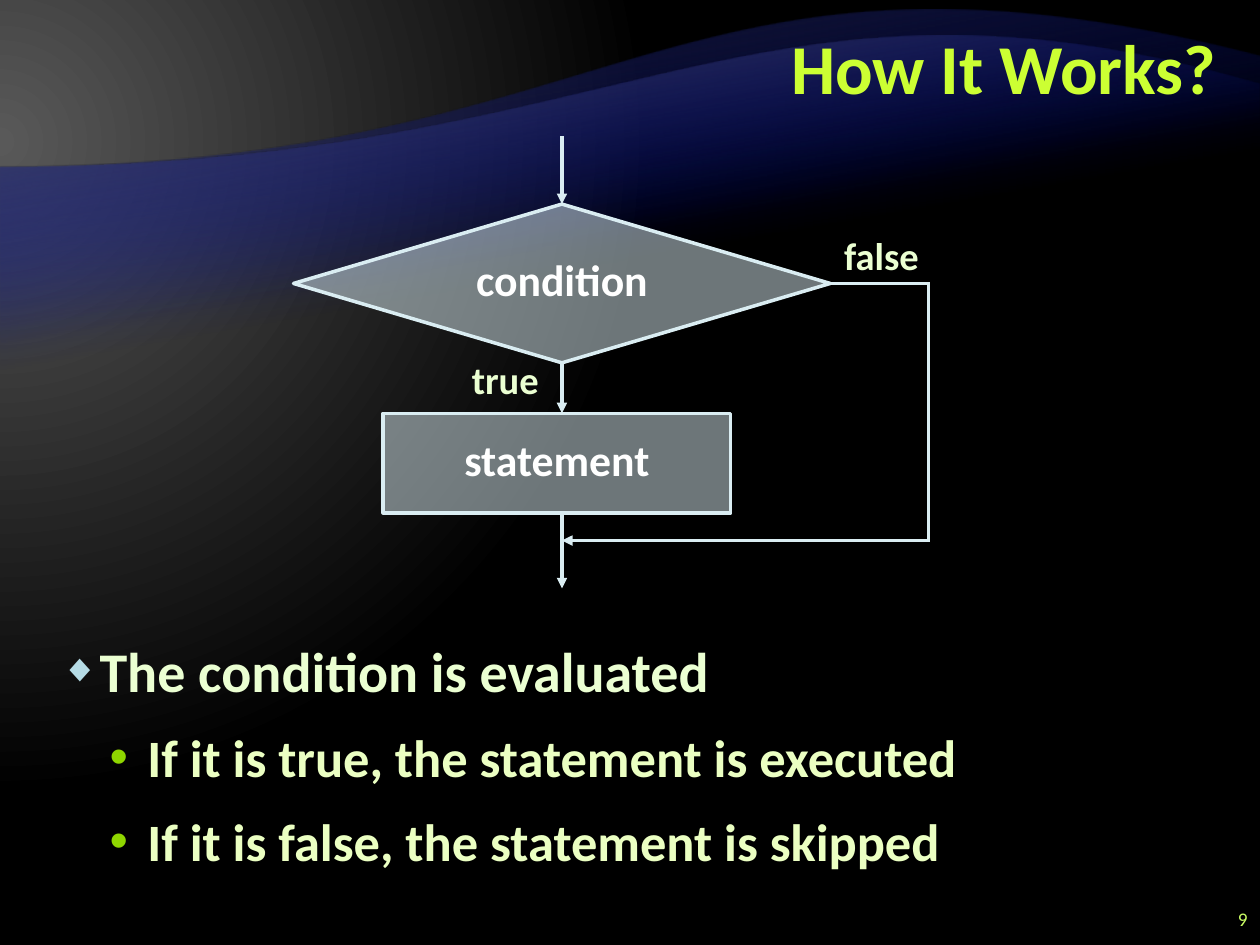
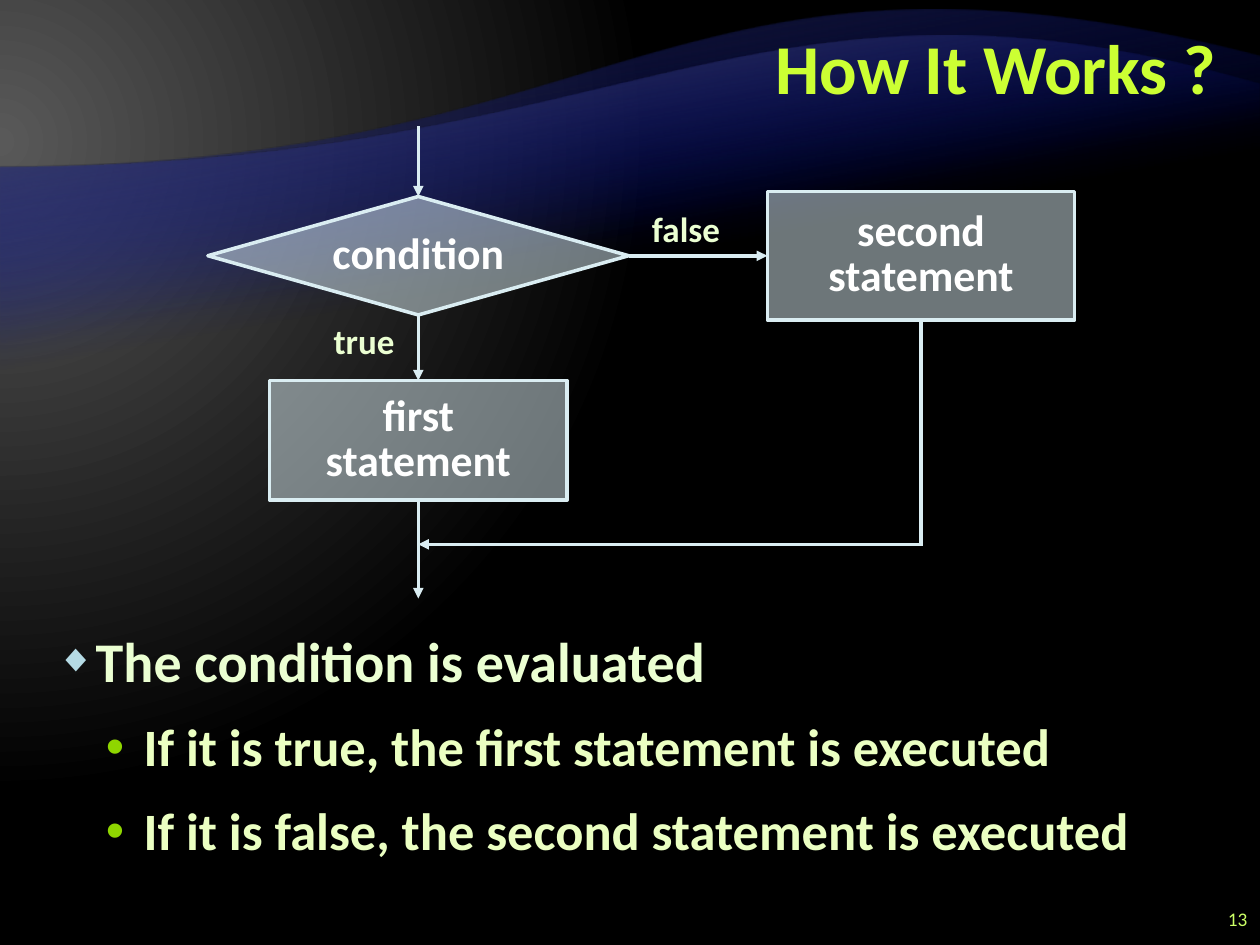
from dataclasses import dataclass

from pptx import Presentation
from pptx.dml.color import RGBColor
from pptx.enum.shapes import MSO_CONNECTOR, MSO_SHAPE
from pptx.enum.text import MSO_ANCHOR, MSO_AUTO_SIZE, PP_ALIGN
from pptx.oxml import parse_xml
from pptx.oxml.ns import nsdecls, qn
from pptx.oxml.xmlchemy import OxmlElement
from pptx.util import Pt

PX = 9144  # 100 px to the inch
WIDTH, HEIGHT = 1000, 750
TOP, LEFT, BOTTOM, RIGHT = range(4)
DIAMOND, BOX = MSO_SHAPE.FLOWCHART_DECISION, MSO_SHAPE.RECTANGLE


@dataclass(frozen=True)
class Theme:
    font: str = "Calibri"
    title: str = "CCFF33"
    body: str = "EBFFD2"
    detail: str = "EBFFC2"
    chart: str = "DAEDF2"
    chart_text: str = "FFFFFF"
    number: str = "CCFF66"
    title_pt: int = 40
    chart_pt: int = 25
    number_pt: int = 11
    line_pt: int = 2
    chart_alpha: int = 50
    tight: float = 0.85


T = Theme()
TITLE_AT = (200, 8, 775, 100)
NUMBER_AT = (950, 717, 50, 25)

# level: size, colour, left margin, indent, bullet, bullet colour, bullet size in %
LEVELS = [
    (32, T.body, 31, -31, "◆", "B5DBE5", 70),
    (30, T.detail, 69, -30, "•", "8FD600", 100),
]

# Gradient stops: position in %, colour, opacity in %
BACKDROP = [(0, "595959", 100), (83, "000000", 100)]
# Each wave: Bezier points of its upper edge, bottom, colour at the edge
WAVES = [
    ([(0, 133), (500, 133), (534, -75), (1000, 45)], 653, "262626"),
    ([(0, 133), (500, 133), (598, -49), (1000, 67)], 557, "595959"),
]

SLIDES = [
    dict(
        title="How It Works?", number="9", body_at=(38, 500, 921, 222),
        body=[(0, "The condition is evaluated"),
              (1, "If it is true, the statement is executed"),
              (1, "If it is false, the statement is skipped")],
        nodes={"condition": (DIAMOND, (233, 162, 426, 126)),
               "statement": (BOX, (304, 328, 276, 79))},
        label_pt=22,
        labels=[("true", (350, 283, 102, 42)), ("false", (652, 185, 95, 42))],
        # from, to, arrowhead; an end is a point or a node with its side
        links=[((446, 108), ("condition", TOP), True),
               (("condition", BOTTOM), (446, 328), True),
               ((446, 406), (446, 467), True),
               (("condition", RIGHT), (738, 225), False),
               ((737, 225), (737, 430), False),
               ((738, 429), (446, 429), True)],
    ),
    dict(
        title="How It Works ?", number="13", body_at=(35, 492, 929, 230),
        body=[(0, "The condition is evaluated"),
              (1, "If it is true, the first statement is executed"),
              (1, "If it is false, the second statement is executed")],
        nodes={"condition": (DIAMOND, (165, 156, 334, 94)),
               "first\nstatement": (BOX, (214, 302, 236, 95)),
               "second\nstatement": (BOX, (609, 152, 244, 102))},
        label_pt=20,
        labels=[("true", (238, 254, 102, 39)), ("false", (503, 165, 83, 39))],
        links=[((332, 100), ("condition", TOP), True),
               (("condition", BOTTOM), ("first\nstatement", TOP), True),
               (("first\nstatement", BOTTOM), (332, 475), True),
               (("condition", RIGHT), ("second\nstatement", LEFT), True),
               (("second\nstatement", BOTTOM), (731, 433), False),
               ((732, 432), (332, 432), True)],
    ),
]


def emu(values):
    return [round(v * PX) for v in values]


def place(s, at):
    s.left, s.top, s.width, s.height = emu(at)


def write(p, text, *, size, color, bold=True, align=None, spacing=None):
    p.alignment = align
    if spacing:
        p.line_spacing = spacing
    r = p.add_run()
    r.text = text
    r.font.name, r.font.size, r.font.bold = T.font, Pt(size), bold
    r.font.color.rgb = RGBColor.from_string(color)


def write_lines(tf, text, *, anchor=MSO_ANCHOR.MIDDLE, **fmt):
    tf.word_wrap = True
    tf.auto_size = MSO_AUTO_SIZE.NONE
    tf.vertical_anchor = anchor
    for i, line in enumerate(text.split("\n")):
        write(tf.add_paragraph() if i else tf.paragraphs[0], line, **fmt)


def add_text(shapes, at, text, **fmt):
    write_lines(shapes.add_textbox(*emu(at)).text_frame, text, **fmt)


def set_gradient(fill, parent, stops, direction):
    """Replace the fill held by parent with a gradient; direction is its XML."""
    gs = "".join(
        f'<a:gs pos="{pos * 1000}"><a:srgbClr val="{color}">'
        f'<a:alpha val="{alpha * 1000}"/></a:srgbClr></a:gs>'
        for pos, color, alpha in stops)
    fill.background()
    parent.replace(parent.find(qn("a:noFill")), parse_xml(
        f'<a:gradFill {nsdecls("a")} rotWithShape="1">'
        f"<a:gsLst>{gs}</a:gsLst>{direction}</a:gradFill>"))


def bezier(points, steps=60):
    for i in range(steps + 1):
        t = i / steps
        weights = ((1 - t) ** 3, 3 * t * (1 - t) ** 2, 3 * t * t * (1 - t), t ** 3)
        yield emu(sum(w * c for w, c in zip(weights, axis)) for axis in zip(*points))


def decorate(layout, slide):
    """Give the layout its backdrop and waves, drawn on slide and moved over."""
    set_gradient(
        layout.background.fill, layout.element.find(".//" + qn("p:bgPr")), BACKDROP,
        '<a:path path="circle"><a:fillToRect l="20000" t="30000" r="135000" b="100000"/></a:path>')
    for i, (edge, bottom, color) in enumerate(WAVES):
        start, *curve = bezier(edge)
        builder = slide.shapes.build_freeform(*start)
        builder.add_line_segments(curve + [emu((WIDTH, bottom)), emu((0, bottom))])
        s = builder.convert_to_shape()
        s.shadow.inherit = False
        s.line.fill.background()
        set_gradient(s.fill, s.element.spPr, [(65, "000D9E", 0), (100, color, 100)],
                     f'<a:lin ang="{260 * 60000}" scaled="0"/>')
        layout.shapes.element.insert(2 + i, s.element)


def add_bullet(p, margin, indent, char, color, size):
    pPr = p._p.get_or_add_pPr()
    pPr.set("marL", str(margin * PX))
    pPr.set("indent", str(indent * PX))
    for xml in (f'<a:buClr {nsdecls("a")}><a:srgbClr val="{color}"/></a:buClr>',
                f'<a:buSzPct {nsdecls("a")} val="{size * 1000}"/>',
                f'<a:buChar {nsdecls("a")} char="{char}"/>'):
        pPr.append(parse_xml(xml))


def fill_body(s, at, items):
    place(s, at)
    tf = s.text_frame
    tf.auto_size = MSO_AUTO_SIZE.NONE
    for i, (level, text) in enumerate(items):
        size, color, *bullet = LEVELS[level]
        p = tf.add_paragraph() if i else tf.paragraphs[0]
        p.level = level
        p.space_before = p.space_after = Pt(6)
        write(p, text, size=size, color=color)
        add_bullet(p, *bullet)


def style_line(line):
    line.color.rgb = RGBColor.from_string(T.chart)
    line.width = Pt(T.line_pt)


def add_node(shapes, kind, at, text):
    s = shapes.add_shape(kind, *emu(at))
    s.shadow.inherit = False
    s.fill.solid()
    s.fill.fore_color.rgb = RGBColor.from_string(T.chart)
    alpha = OxmlElement("a:alpha")
    alpha.set("val", str(T.chart_alpha * 1000))
    s.element.spPr.find(qn("a:solidFill"))[0].append(alpha)
    style_line(s.line)
    write_lines(s.text_frame, text, size=T.chart_pt, color=T.chart_text,
                align=PP_ALIGN.CENTER, spacing=T.tight)
    return s


def add_link(shapes, nodes, begin, end, arrow):
    points = [(0, 0) if e[0] in nodes else e for e in (begin, end)]
    s = shapes.add_connector(MSO_CONNECTOR.STRAIGHT, *emu(points[0] + points[1]))
    for e, join in ((begin, s.begin_connect), (end, s.end_connect)):
        if e[0] in nodes:
            join(nodes[e[0]], e[1])
    style_line(s.line)
    spPr = s.element.spPr
    if arrow:
        head = OxmlElement("a:tailEnd")
        head.set("type", "triangle")
        spPr.find(qn("a:ln")).append(head)
    spPr.append(OxmlElement("a:effectLst"))


def build_slide(slide, data):
    shapes = slide.shapes
    place(shapes.title, TITLE_AT)
    write_lines(shapes.title.text_frame, data["title"], size=T.title_pt, color=T.title,
                align=PP_ALIGN.RIGHT, spacing=Pt(T.title_pt))
    fill_body(slide.placeholders[1], data["body_at"], data["body"])
    nodes = {name: add_node(shapes, kind, at, name)
             for name, (kind, at) in data["nodes"].items()}
    for link in data["links"]:
        add_link(shapes, nodes, *link)
    for text, at in data["labels"]:
        add_text(shapes, at, text, size=data["label_pt"], color=T.body,
                 anchor=MSO_ANCHOR.TOP, align=PP_ALIGN.CENTER, spacing=T.tight)
    add_text(shapes, NUMBER_AT, data["number"], size=T.number_pt, color=T.number,
             bold=False, align=PP_ALIGN.RIGHT)


def main():
    prs = Presentation()
    prs.slide_width, prs.slide_height = emu((WIDTH, HEIGHT))
    layout = prs.slide_layouts[1]
    slides = [prs.slides.add_slide(layout) for _ in SLIDES]
    decorate(layout, slides[0])
    for slide, data in zip(slides, SLIDES):
        build_slide(slide, data)
    prs.save("out.pptx")


if __name__ == "__main__":
    main()
